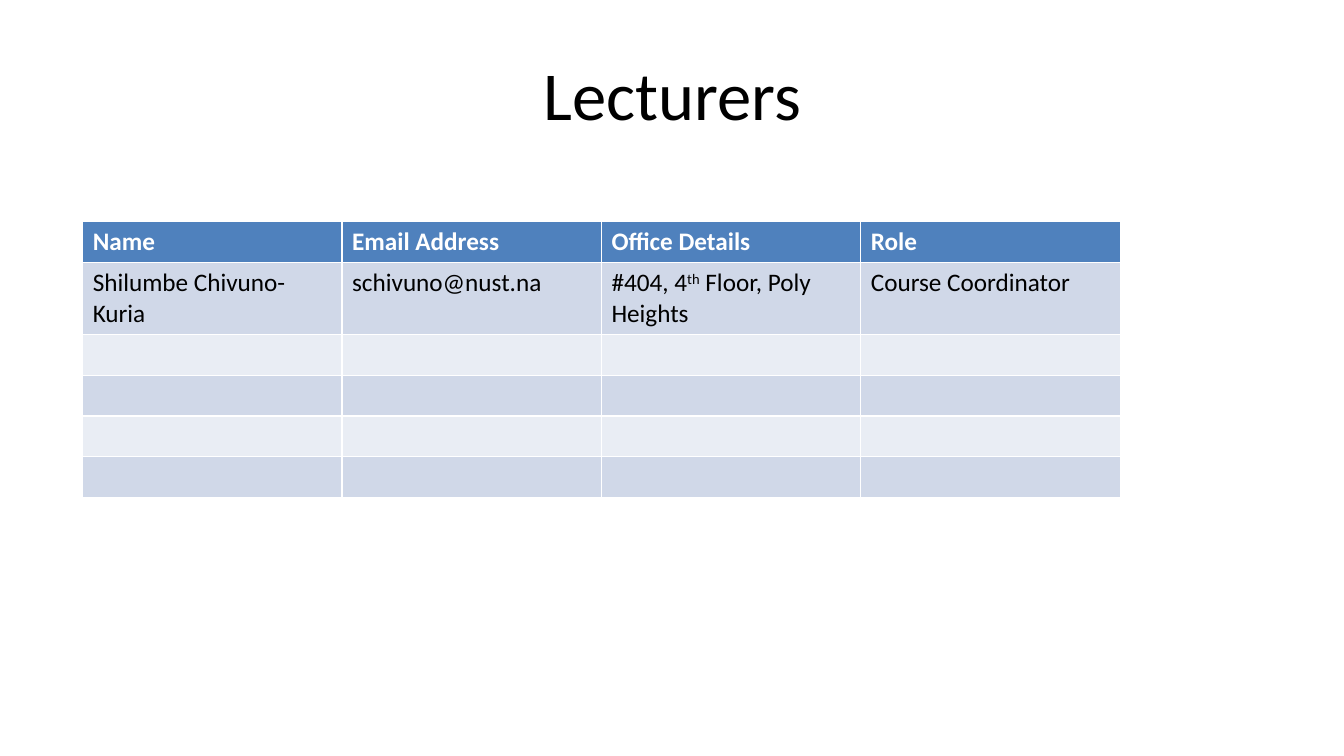
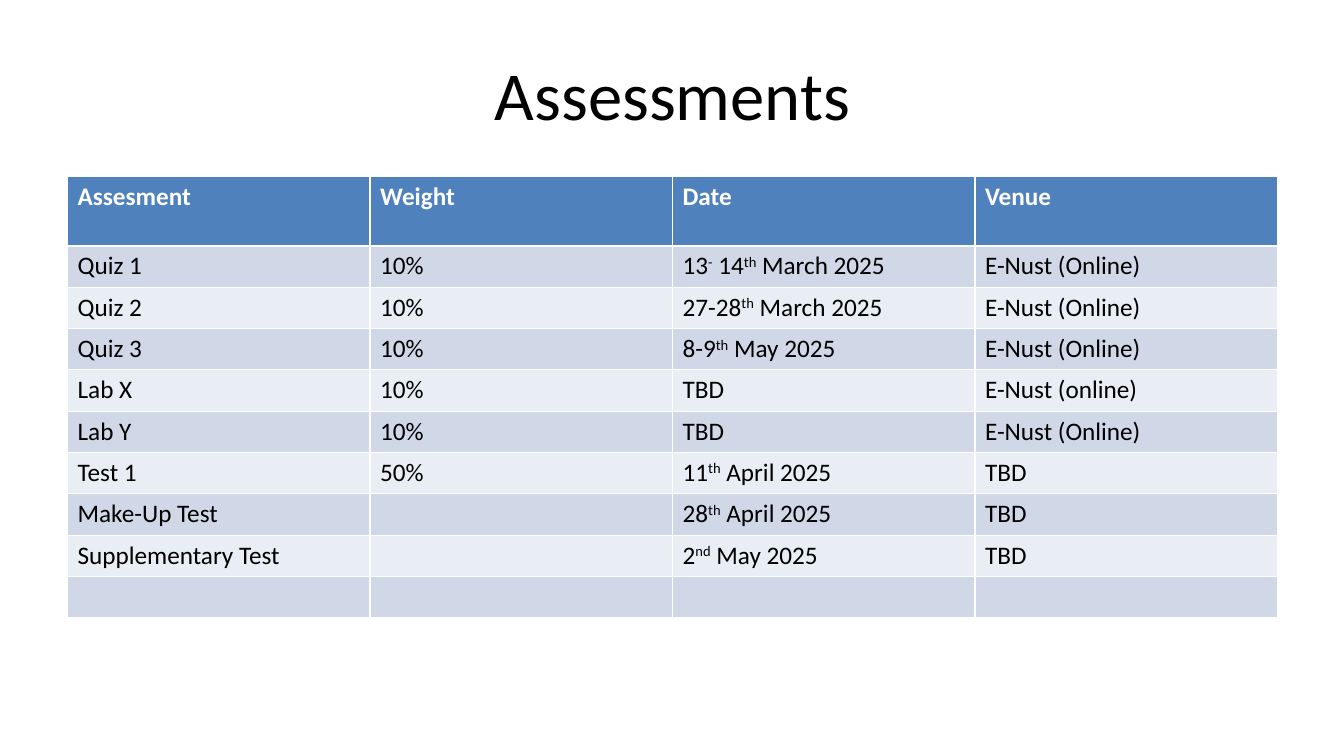
from pptx import Presentation
from pptx import util as u
from pptx.dml.color import RGBColor
from pptx.enum import text

HUES = {"head": "4F81BD", "odd": "D0D8E8", "even": "E9EDF4",
        "light": "FFFFFF", "dark": "000000"}
FONT = "Calibri"
STAFF = [
    ["Name", "Email Address", "Office Details", "Role"],
    ["Shilumbe Chivuno-Kuria", "schivuno@nust.na",
     "#404, 4^th^ Floor, Poly Heights", "Course Coordinator"],
] + [[""] * 4] * 4
TASKS = [
    ["Assesment", "Weight", "Date", "Venue"],
    ["Quiz 1", "10%", "13^-^ 14^th^ March 2025", "E-Nust (Online)"],
    ["Quiz 2", "10%", "27-28^th^ March 2025", "E-Nust (Online)"],
    ["Quiz 3", "10%", "8-9^th^ May 2025", "E-Nust (Online)"],
    ["Lab X", "10%", "TBD", "E-Nust (online)"],
    ["Lab Y", "10%", "TBD", "E-Nust (Online)"],
    ["Test 1", "50%", "11^th^ April 2025", "TBD"],
    ["Make-Up Test", "", "28^th^ April 2025", "TBD"],
    ["Supplementary Test", "", "2^nd^ May 2025", "TBD"],
    [""] * 4,
]


def style(font, size, hue, bold=False):
    font.name, font.size, font.bold = FONT, u.Pt(size), bold
    font.color.rgb = RGBColor.from_string(HUES[hue])


def add_slide(deck, title):
    slide = deck.slides.add_slide(deck.slide_layouts[5])
    box = slide.shapes.title
    box.left, box.top = u.Inches(0.67), u.Inches(0.3)
    box.width, box.height = u.Inches(12), u.Inches(1.25)
    frame = box.text_frame
    frame.text = title
    frame.vertical_anchor = text.MSO_ANCHOR.MIDDLE
    frame.margin_left = frame.margin_right = u.Inches(0.11)
    frame.margin_top = frame.margin_bottom = u.Inches(0.06)
    line = frame.paragraphs[0]
    line.alignment = text.PP_ALIGN.CENTER
    style(line.runs[0].font, 49, "dark")
    return slide


def fill_cell(cell, words, row):
    """Write words, raising each part set between carets."""
    fill = "head" if row == 0 else "odd" if row % 2 else "even"
    cell.fill.solid()
    cell.fill.fore_color.rgb = RGBColor.from_string(HUES[fill])
    line = cell.text_frame.paragraphs[0]
    for i, part in enumerate(words.split("^") if words else []):
        run = line.add_run()
        run.text = part
        style(run.font, 18, "dark" if row else "light", row == 0)
        if i % 2:
            run.font._element.set("baseline", "30000")


def add_grid(slide, rows, left, top, width, high, head):
    """Add a table with equal columns; high is a body row, head the first."""
    grid = slide.shapes.add_table(
        len(rows), len(rows[0]), u.Inches(left), u.Inches(top),
        u.Inches(width), u.Inches(high * len(rows))).table
    grid.rows[0].height = u.Inches(head)
    for r, row in enumerate(rows):
        for c, words in enumerate(row):
            fill_cell(grid.cell(r, c), words, r)


def main():
    deck = Presentation()
    deck.slide_width, deck.slide_height = u.Inches(13.33), u.Inches(7.5)
    add_grid(add_slide(deck, "Lecturers"), STAFF,
             0.82, 2.2, 10.29, 0.38, 0.38)
    add_grid(add_slide(deck, "Assessments"), TASKS,
             0.67, 1.75, 12, 0.41, 0.69)
    deck.save("out.pptx")


if __name__ == "__main__":
    main()
